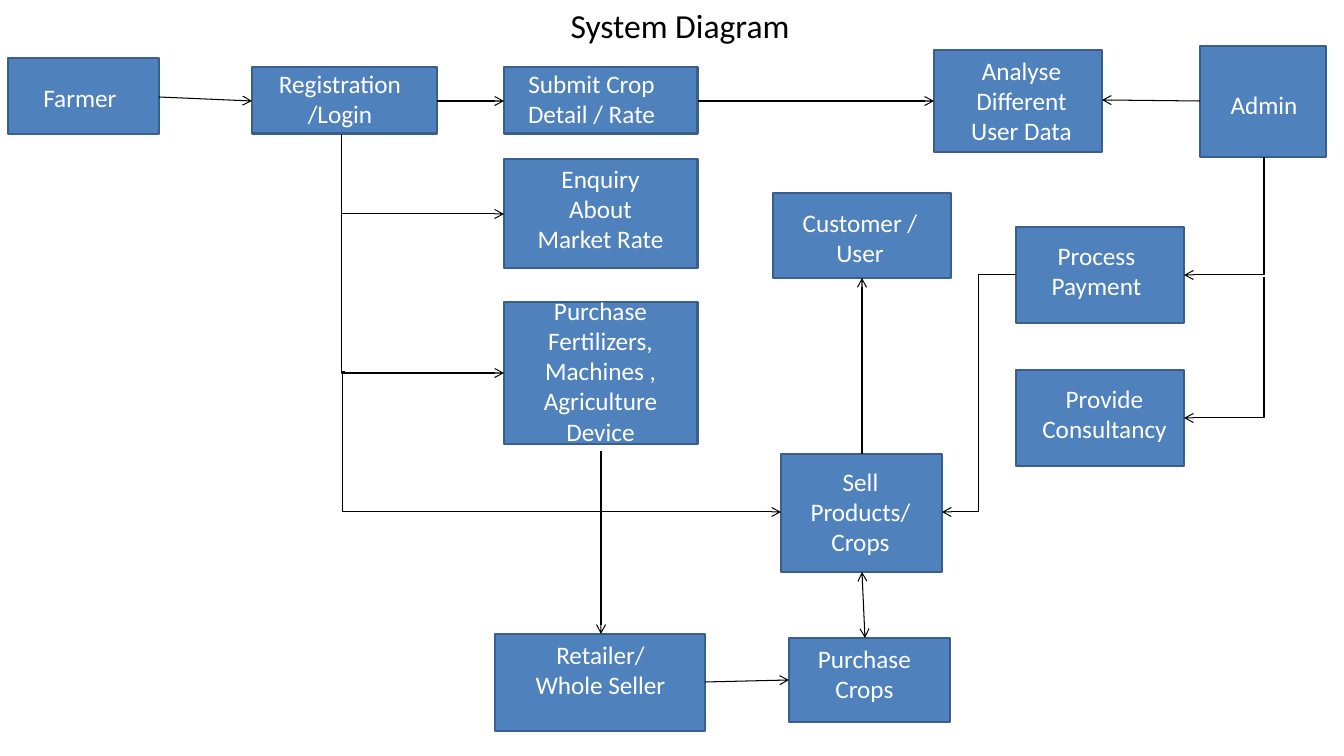
from lxml import etree
from pptx import Presentation
from pptx import util as u
from pptx.dml import color
from pptx.enum import shapes, text
from pptx.oxml import ns

EMU_PER_PX = 914400 / 100.8
COLORS = {"fill": "4F81BD", "edge": "3A5F8C", "label": "FFFFFF", "ink": "000000"}
FRAME = {"word_wrap": True, "auto_size": text.MSO_AUTO_SIZE.SHAPE_TO_FIT_TEXT}
STRAIGHT, CORNER = "straight", "corner"


def px(*lengths):
    """Turn pixel lengths into EMU."""
    return [u.Emu(round(length * EMU_PER_PX)) for length in lengths]


def rgb(role):
    """Return the colour for a role."""
    return color.RGBColor.from_string(COLORS[role])


def apply(target, formats):
    """Set every attribute of a format dict on the target."""
    for key, value in formats.items():
        setattr(target, key, value)


def add_label(slide, box, wording, size=18, role="label"):
    """Write centred text, one paragraph per line of wording."""
    frame = slide.shapes.add_textbox(*px(*box)).text_frame
    apply(frame, FRAME)
    frame.text = wording
    for paragraph in frame.paragraphs:
        paragraph.alignment = text.PP_ALIGN.CENTER
        apply(paragraph.runs[0].font, {"name": "Calibri", "size": u.Pt(size)})
        paragraph.runs[0].font.color.rgb = rgb(role)


def add_step(slide, box, wording, label_box):
    """Draw a step with its label placed relative to the step's corner."""
    step = slide.shapes.add_shape(shapes.MSO_SHAPE.RECTANGLE, *px(*box))
    step.shadow.inherit = False
    step.fill.solid()
    step.fill.fore_color.rgb = rgb("fill")
    step.line.color.rgb = rgb("edge")
    step.line.width = u.Pt(2)
    dx, dy, width, height = label_box
    add_label(slide, (box[0] + dx, box[1] + dy, width, height), wording)


def add_flow(slide, start, end, route=STRAIGHT, heads=("tailEnd",)):
    """Draw an arrow: straight, down then across, or bent at a given share."""
    kind = shapes.MSO_CONNECTOR.STRAIGHT if route == STRAIGHT else shapes.MSO_CONNECTOR.ELBOW
    ends = (*start, *end)
    if route == CORNER:
        across, down = end[0] - start[0], end[1] - start[1]
        mid_x, mid_y = (start[0] + end[0]) / 2, (start[1] + end[1]) / 2
        half_w, half_h = down / 2, abs(across) / 2
        ends = (mid_x - half_w, mid_y - half_h, mid_x + half_w, mid_y + half_h)
    flow = slide.shapes.add_connector(kind, *px(*ends))
    flow.line.color.rgb = rgb("ink")
    flow.line.width = u.Pt(0.75)
    properties = flow._element.spPr
    geometry = properties.find(ns.qn("a:prstGeom"))
    if route == CORNER:
        geometry.set("prst", "bentConnector2")
        turn = {"rot": "5400000"} if across < 0 else {"rot": "16200000", "flipH": "1"}
        for key, value in turn.items():
            properties.find(ns.qn("a:xfrm")).set(key, value)
    elif route != STRAIGHT:
        guide = etree.SubElement(geometry.find(ns.qn("a:avLst")), ns.qn("a:gd"))
        guide.set("name", "adj1")
        guide.set("fmla", f"val {route}")
    for head in heads:
        etree.SubElement(properties.find(ns.qn("a:ln")), ns.qn(f"a:{head}")).set("type", "arrow")
    etree.SubElement(properties, ns.qn("a:effectLst"))


def add_region(slide, box, steps, flows):
    """Place steps and flows relative to the region's corner."""
    left, top = box[:2]
    for wording, (x, y, width, height), label_box in steps:
        add_step(slide, (left + x, top + y, width, height), wording, label_box)
    for (x1, y1), (x2, y2), *style in flows:
        add_flow(slide, (left + x1, top + y1), (left + x2, top + y2), *style)


def farmer_region(slide, box):
    """Draw the farmer's login and the three services behind it."""
    steps = [
        ("Farmer", (0, 0, 151, 76), (9, 19, 126, 40)),
        ("Registration\n/Login", (244, 9, 185, 67), (0, -4, 176, 72)),
        ("Submit Crop Detail / Rate", (496, 9, 194, 67), (8, -4, 159, 72)),
        ("Enquiry About Market Rate", (496, 101, 194, 109), (17, -1, 159, 102)),
        ("Purchase Fertilizers, Machines , Agriculture Device",
         (496, 244, 194, 142), (17, -12, 159, 163)),
    ]
    flows = [
        ((151, 39), (244, 43)),
        ((429, 43), (496, 43)),
        ((333, 76), (496, 156), CORNER),
        ((333, 156), (496, 315), 100),
    ]
    add_region(slide, box, steps, flows)


def admin_region(slide, box):
    """Draw the admin and the three admin tasks."""
    steps = [
        ("Analyse Different User Data", (0, 4, 168, 102), (16, 0, 143, 102)),
        ("Admin", (266, 0, 126, 111), (1, 38, 126, 40)),
        ("Process Payment", (82, 181, 168, 96), (9, 8, 143, 72)),
        ("Provide Consultancy", (82, 324, 168, 96), (9, 8, 159, 72)),
    ]
    flows = [
        ((266, 55), (168, 54)),
        ((330, 111), (250, 229), CORNER),
        ((330, 231), (250, 372), CORNER),
    ]
    add_region(slide, box, steps, flows)


def trade_region(slide, box):
    """Draw the selling and purchasing of crops."""
    steps = [
        ("Customer / User", (278, 0, 178, 85), (15, 9, 144, 72)),
        ("Sell Products/ Crops", (286, 261, 161, 118), (8, 7, 143, 102)),
        ("Retailer/ Whole Seller", (0, 441, 210, 97), (26, 0, 159, 72)),
        ("Purchase Crops", (294, 445, 161, 84), (17, 0, 117, 72)),
    ]
    flows = [
        ((367, 261), (367, 85)),
        ((367, 379), (370, 445), STRAIGHT, ("headEnd", "tailEnd")),
        ((210, 489), (294, 487)),
    ]
    add_region(slide, box, steps, flows)


def region_links(slide, box):
    """Draw the flows that run from one region to another."""
    flows = [
        ((698, 101), (934, 101)),
        ((1016, 275), (942, 512), 50000),
        ((345, 372), (781, 512), -500),
        ((601, 451), (601, 634)),
    ]
    add_region(slide, box, [], flows)


def main():
    """Build the system diagram slide and save it."""
    deck = Presentation()
    deck.slide_width, deck.slide_height = px(1344, 756)
    slide = deck.slides.add_slide(deck.slide_layouts[6])
    add_label(slide, (487, 0, 386, 50), "System Diagram", 24, "ink")
    farmer_region(slide, (8, 58, 690, 386))
    admin_region(slide, (934, 46, 392, 420))
    trade_region(slide, (495, 193, 456, 538))
    region_links(slide, (0, 0, 1344, 756))
    deck.save("out.pptx")


main()
